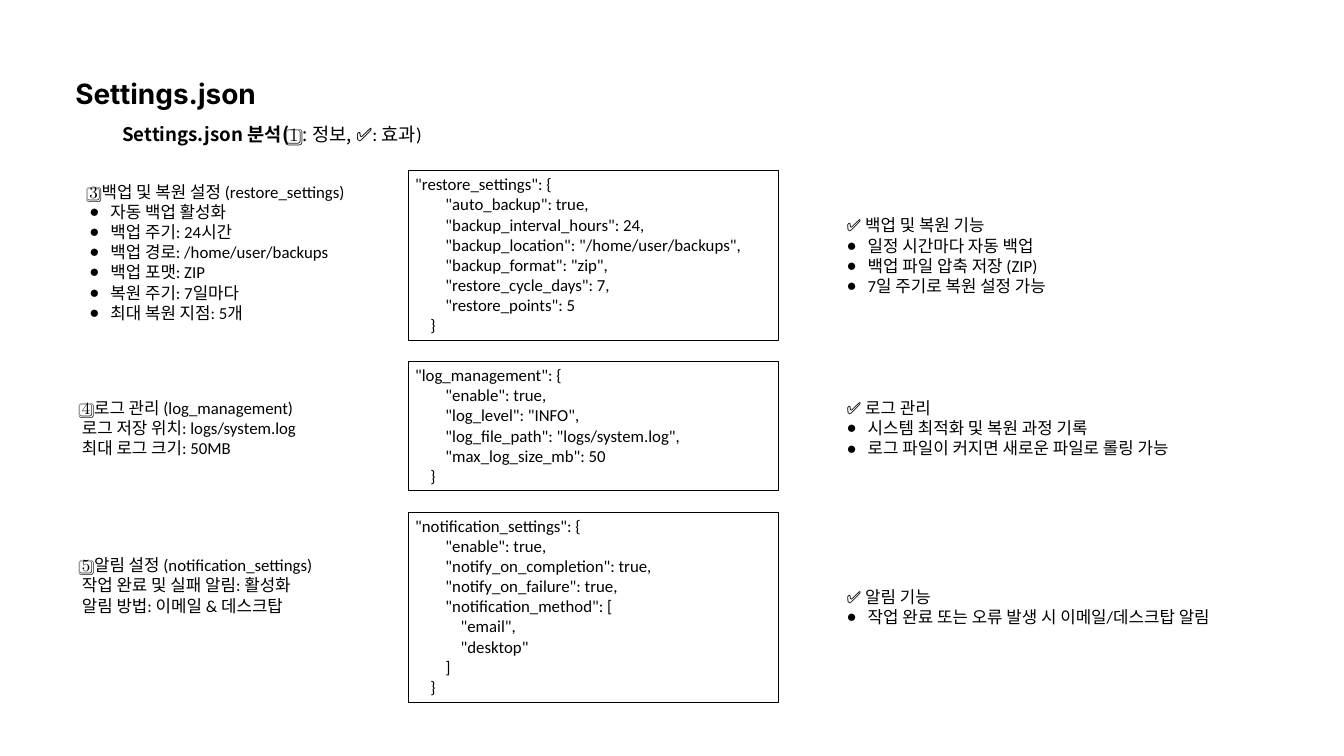
from lxml import etree
from pptx import Presentation
from pptx import util as u
from pptx.dml.color import RGBColor
from pptx.enum import shapes, text
from pptx.oxml.ns import qn

BLACK = RGBColor(0x00, 0x00, 0x00)
BODY_FONT = "Calibri"
BODY_SIZE = 18
BULLET_INDENT = 22.5
INFO_LEFT, CODE_LEFT, EFFECT_LEFT = 80.64, 437.76, 900
CODE_WIDTH = 396

RESTORE_CODE = """"restore_settings": {
        "auto_backup": true,
        "backup_interval_hours": 24,
        "backup_location": "/home/user/backups",
        "backup_format": "zip",
        "restore_cycle_days": 7,
        "restore_points": 5
    }"""

LOG_CODE = """"log_management": {
        "enable": true,
        "log_level": "INFO",
        "log_file_path": "logs/system.log",
        "max_log_size_mb": 50
    }"""

NOTIFICATION_CODE = """"notification_settings": {
        "enable": true,
        "notify_on_completion": true,
        "notify_on_failure": true,
        "notification_method": [
            "email",
            "desktop"
        ]
    }"""

# Top, height, code
CODE_BLOCKS = [
    (182.88, 181.44, RESTORE_CODE),
    (387.36, 138.24, LOG_CODE),
    (548.64, 203.76, NOTIFICATION_CODE),
]

# Left, top, width, height, heading, bulleted items
BULLET_LISTS = [
    (88.56, 190.8, 504, 159.84, "3️⃣ 백업 및 복원 설정 (restore_settings)",
     ["자동 백업 활성화", "백업 주기: 24시간", "백업 경로: /home/user/backups",
      "백업 포맷: ZIP", "복원 주기: 7일마다", "최대 복원 지점: 5개"]),
    (EFFECT_LEFT, 226.8, 256.32, 94.32, "✅ 백업 및 복원 기능",
     ["일정 시간마다 자동 백업", "백업 파일 압축 저장 (ZIP)", "7일 주기로 복원 설정 가능"]),
    (EFFECT_LEFT, 422.64, 414, 72.72, "✅ 로그 관리",
     ["시스템 최적화 및 복원 과정 기록", "로그 파일이 커지면 새로운 파일로 롤링 가능"]),
    (EFFECT_LEFT, 624.96, 527.76, 51.12, "✅ 알림 기능",
     ["작업 완료 또는 오류 발생 시 이메일/데스크탑 알림"]),
]

# Top, lines
PLAIN_NOTES = [
    (422.64, ["4️⃣ 로그 관리 (log_management)",
              "로그 저장 위치: logs/system.log", "최대 로그 크기: 50MB"]),
    (591.12, ["5️⃣ 알림 설정 (notification_settings)",
              "작업 완료 및 실패 알림: 활성화", "알림 방법: 이메일 & 데스크탑"]),
]


def place(box, left, top, width, height):
    box.left, box.top = u.Pt(left), u.Pt(top)
    box.width, box.height = u.Pt(width), u.Pt(height)


def set_frame(frame, side=7.2, edge=3.6):
    frame.word_wrap = True
    frame.auto_size = text.MSO_AUTO_SIZE.SHAPE_TO_FIT_TEXT
    frame.vertical_anchor = text.MSO_ANCHOR.TOP
    frame.margin_left = frame.margin_right = u.Pt(side)
    frame.margin_top = frame.margin_bottom = u.Pt(edge)


def set_font(font, name=BODY_FONT, size=BODY_SIZE, bold=False):
    font.name, font.size, font.bold = name, u.Pt(size), bold
    font.color.rgb = BLACK


def set_bullet(para, bulleted):
    indent = u.Pt(BULLET_INDENT) if bulleted else 0
    props = para._p.get_or_add_pPr()
    props.set("marL", str(indent))
    props.set("indent", str(-indent))
    if bulleted:
        etree.SubElement(props, qn("a:buChar")).set("char", "●")
    else:
        etree.SubElement(props, qn("a:buNone"))


def write_lines(frame, lines, bullets_from=None):
    """Write one paragraph per line, bulleted from the given index on."""
    set_frame(frame)
    for index, line in enumerate(lines):
        para = frame.paragraphs[0] if index == 0 else frame.add_paragraph()
        para.add_run().text = line
        set_bullet(para, bullets_from is not None and index >= bullets_from)
        para.alignment = text.PP_ALIGN.LEFT
        para.space_before = u.Pt(0)
        set_font(para.font)


def add_title(page):
    title = page.shapes.title
    place(title, INFO_LEFT, 76.32, 495.36, 42)
    set_frame(title.text_frame, 0, 0)
    para = title.text_frame.paragraphs[0]
    para.add_run().text = "Settings.json"
    para.alignment = text.PP_ALIGN.LEFT
    para.line_spacing = u.Pt(42)
    set_font(para.font, "Inter", 30, True)


def add_subtitle(page):
    box = page.shapes.add_textbox(u.Pt(131.04), u.Pt(127.44), u.Pt(378), u.Pt(26.64))
    set_frame(box.text_frame, 0, 0)
    para = box.text_frame.paragraphs[0]
    para.line_spacing = u.Pt(28)
    for words, name, bold in [
        ("Settings.json 분석(", "Noto Sans CJK SC", True),
        ("1️⃣ : 정보, ", "Noto Sans CJK SC", False),
        ("✅: 효과)", BODY_FONT, False),
    ]:
        span = para.add_run()
        span.text = words
        set_font(span.font, name, 20, bold)


def add_code(page, top, height, code):
    box = page.shapes.add_shape(shapes.MSO_SHAPE.RECTANGLE, u.Pt(CODE_LEFT),
                                u.Pt(top), u.Pt(CODE_WIDTH), u.Pt(height))
    box.shadow.inherit = False
    box.fill.background()
    box.line.color.rgb = BLACK
    box.line.width = u.Pt(0.75)
    write_lines(box.text_frame, code.splitlines())


def fill_list(box, left, top, width, height, heading, items):
    place(box, left, top, width, height)
    write_lines(box.text_frame, [heading] + items, bullets_from=1)


def add_note(page, top, lines):
    box = page.shapes.add_textbox(u.Pt(INFO_LEFT), u.Pt(top), u.Pt(504), u.Pt(72.72))
    write_lines(box.text_frame, lines)


def main():
    deck = Presentation()
    deck.slide_width, deck.slide_height = u.Pt(1440), u.Pt(810)
    # The Comparison layout has a title and four body placeholders
    page = deck.slides.add_slide(deck.slide_layouts.get_by_name("Comparison"))

    # Headings
    add_title(page)
    add_subtitle(page)

    # Bulleted lists in the body placeholders
    bodies = [box for box in page.placeholders if box.placeholder_format.idx > 0]
    for body, content in zip(bodies, BULLET_LISTS):
        fill_list(body, *content)

    # Plain notes on the left
    for top, lines in PLAIN_NOTES:
        add_note(page, top, lines)

    # Framed code in the middle
    for top, height, code in CODE_BLOCKS:
        add_code(page, top, height, code)

    deck.save("out.pptx")


if __name__ == "__main__":
    main()
